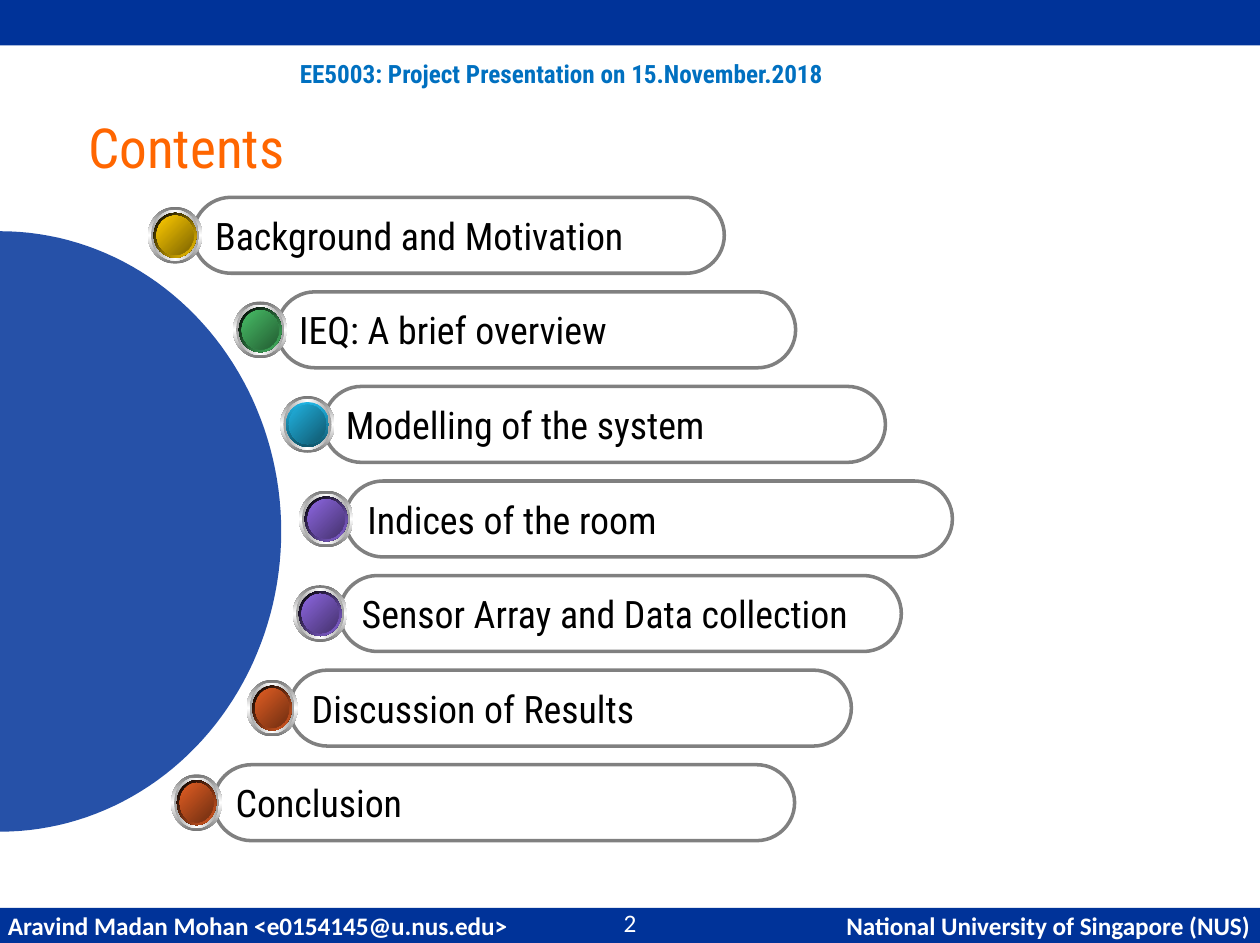
from copy import deepcopy
from math import cos, pi, sin

from lxml import etree
from pptx import Presentation
from pptx.dml.color import RGBColor
from pptx.enum.shapes import MSO_SHAPE
from pptx.enum.text import MSO_ANCHOR, PP_ALIGN
from pptx.oxml.ns import qn
from pptx.util import Pt

RECTANGLE, PILL, OVAL = MSO_SHAPE.RECTANGLE, MSO_SHAPE.ROUNDED_RECTANGLE, MSO_SHAPE.OVAL
TOP, MIDDLE = MSO_ANCHOR.TOP, MSO_ANCHOR.MIDDLE
LEFT, CENTER = PP_ALIGN.LEFT, PP_ALIGN.CENTER

COLORS = {
    "navy": "003399", "header": "0070C0", "title": "FF6600", "outline": "808080",
    "white": "FFFFFF", "black": "000000", "rim": "767676", "ring": "A2A2A2",
    "yellow": "FFCC00", "dark yellow": "7C6300",
    "green": "48BE67", "dark green": "235C32",
    "blue": "21B3E1", "dark blue": "10576D",
    "purple": "8D67E1", "dark purple": "45326D",
    "orange": "E35E23", "dark orange": "6E2E11",
}
SLIDE_WIDTH, SLIDE_HEIGHT = 799.2, 598.32
HEADING_FONT, FOOTER_FONT = "Roboto Condensed", "Calibri"
HEADER_FORMAT = {"name": HEADING_FONT, "size": Pt(16), "bold": True}
TITLE_FORMAT = {"name": HEADING_FONT, "size": Pt(35)}
ITEM_FORMAT = {"name": HEADING_FONT, "size": Pt(24)}
FOOTER_FORMAT = {"name": FOOTER_FONT, "size": Pt(16), "bold": True}
NUMBER_FORMAT = {"name": FOOTER_FONT, "size": Pt(16)}

FIRST_ITEM_TOP, ITEM_STEP, ITEM_HEIGHT = 125.2, 60, 48.2
BUTTON_HEIGHT = 36
# text, pill left, pill width, button left, button width, button colour
ITEMS = [
    ("Background and Motivation", 122.4, 337, 93.8, 34.5, "yellow"),
    ("IEQ: A brief overview", 175.7, 329, 147.8, 34.5, "green"),
    ("Modelling of the system", 205.2, 356.4, 177.8, 34.5, "blue"),
    ("Indices of the room", 218.9, 385.2, 189.6, 34.5, "purple"),
    ("Sensor Array and Data collection", 215.3, 356.4, 185.8, 34.5, "purple"),
    ("Discussion of Results", 183.6, 356.4, 156.4, 32.4, "orange"),
    ("Conclusion", 135.4, 368.6, 108.5, 32.4, "orange"),
]


def rgb(name):
    return RGBColor.from_string(COLORS[name])


def write_text(shape, text, format_values, color, alignment=LEFT, anchor=MIDDLE,
               wrap=True, tab=None):
    """Fill a shape with one paragraph; tab is the place of a right tab stop."""
    frame = shape.text_frame
    frame.word_wrap = wrap
    frame.vertical_anchor = anchor
    paragraph = frame.paragraphs[0]
    paragraph.text = text
    paragraph.alignment = alignment
    if tab:
        tab_list = etree.SubElement(paragraph._p.get_or_add_pPr(), qn("a:tabLst"))
        etree.SubElement(tab_list, qn("a:tab"), pos=str(Pt(tab)), algn="r")
    for attribute, value in format_values.items():
        setattr(paragraph.font, attribute, value)
    paragraph.font.color.rgb = rgb(color)


def add_text(slide, left, top, width, height, *content, **layout):
    box = slide.shapes.add_textbox(Pt(left), Pt(top), Pt(width), Pt(height))
    write_text(box, *content, **layout)


def add_plain_shape(shapes, kind, left, top, width, height):
    """Add a preset shape without shadow, fill or line."""
    shape = shapes.add_shape(kind, Pt(left), Pt(top), Pt(width), Pt(height))
    shape.shadow.inherit = False
    shape.fill.background()
    shape.line.fill.background()
    return shape


def add_bar(slide, top, height):
    bar = add_plain_shape(slide.shapes, RECTANGLE, 0, top, SLIDE_WIDTH, height)
    bar.fill.solid()
    bar.fill.fore_color.rgb = rgb("navy")
    return bar


def add_half_disc(slide, center_y, radius_x, radius_y, steps=90):
    """Draw the translucent right half of an ellipse at the slide's left edge."""
    points = [(Pt(radius_x * sin(pi * step / steps)),
               Pt(center_y - radius_y * cos(pi * step / steps)))
              for step in range(steps + 1)]
    builder = slide.shapes.build_freeform(*points[0])
    builder.add_line_segments(points[1:], close=True)
    disc = builder.convert_to_shape()
    disc.shadow.inherit = False
    disc.line.fill.background()
    disc.fill.solid()
    disc.fill.fore_color.rgb = rgb("navy")
    color = disc._element.spPr.find(qn("a:solidFill")).find(qn("a:srgbClr"))
    etree.SubElement(color, qn("a:alpha"), val="85000")


def fill_gradient(shape, colors, angle):
    """Spread the colours evenly; the angle runs counter-clockwise."""
    shape.fill.gradient()
    shape.fill.gradient_angle = angle
    stop_list = shape._element.spPr.find(qn("a:gradFill")).find(qn("a:gsLst"))
    for _ in colors[2:]:
        stop_list.append(deepcopy(stop_list[0]))
    for index, (stop, color) in enumerate(zip(shape.fill.gradient_stops, colors)):
        stop.position = index / (len(colors) - 1)
        stop.color.rgb = rgb(color)


def add_button(slide, left, top, width, color):
    """Stack the button's ovals, each inset further than the one below."""
    dark = "dark " + color
    shade = (("blue", dark), 270) if color == "blue" else (("black", color), 315)
    layers = [
        (0, ("rim", "white", "rim"), 270),
        (2, ("ring", "white", "ring"), 0),
        (3.75, *shade),
        (5.5, (color, dark), 315),
    ]
    group = slide.shapes.add_group_shape()
    for inset, colors, angle in layers:
        oval = add_plain_shape(group.shapes, OVAL, left + inset, top + inset,
                               width - 2 * inset, BUTTON_HEIGHT - 2 * inset)
        fill_gradient(oval, colors, angle)


def add_item(slide, top, text, left, width, button_left, button_width, color):
    pill = add_plain_shape(slide.shapes, PILL, left, top, width, ITEM_HEIGHT)
    pill.adjustments[0] = 0.5
    pill.line.color.rgb = rgb("outline")
    pill.line.width = Pt(2.25)
    write_text(pill, text, ITEM_FORMAT, "black", wrap=False)
    button_top = top + (ITEM_HEIGHT - BUTTON_HEIGHT) / 2
    add_button(slide, button_left, button_top, button_width, color)


def main():
    presentation = Presentation()
    presentation.slide_width = Pt(SLIDE_WIDTH)
    presentation.slide_height = Pt(SLIDE_HEIGHT)
    slide = presentation.slides.add_slide(presentation.slide_layouts[6])

    footer = add_bar(slide, 576, 22.32)
    footer.text_frame.margin_left = footer.text_frame.margin_right = Pt(5)
    write_text(footer, "Aravind Madan Mohan <e0154145@u.nus.edu>\t"
               "National University of Singapore (NUS)", FOOTER_FORMAT, "white", tab=788)
    add_bar(slide, 0, 28.8)
    add_text(slide, 39.6, 33.8, 632.9, 26.6,
             "EE5003: Project Presentation on 15.November.2018",
             HEADER_FORMAT, "header", alignment=CENTER, anchor=TOP)
    add_text(slide, 349.2, 576.7, 100.8, 17.3, "2", NUMBER_FORMAT, "white",
             alignment=CENTER)
    add_text(slide, 48.9, 43.2, 569.5, 100, "Contents", TITLE_FORMAT, "title")

    add_half_disc(slide, 337.2, 178.4, 190.5)
    for index, item in enumerate(ITEMS):
        add_item(slide, FIRST_ITEM_TOP + index * ITEM_STEP, *item)

    presentation.save("out.pptx")


if __name__ == "__main__":
    main()
